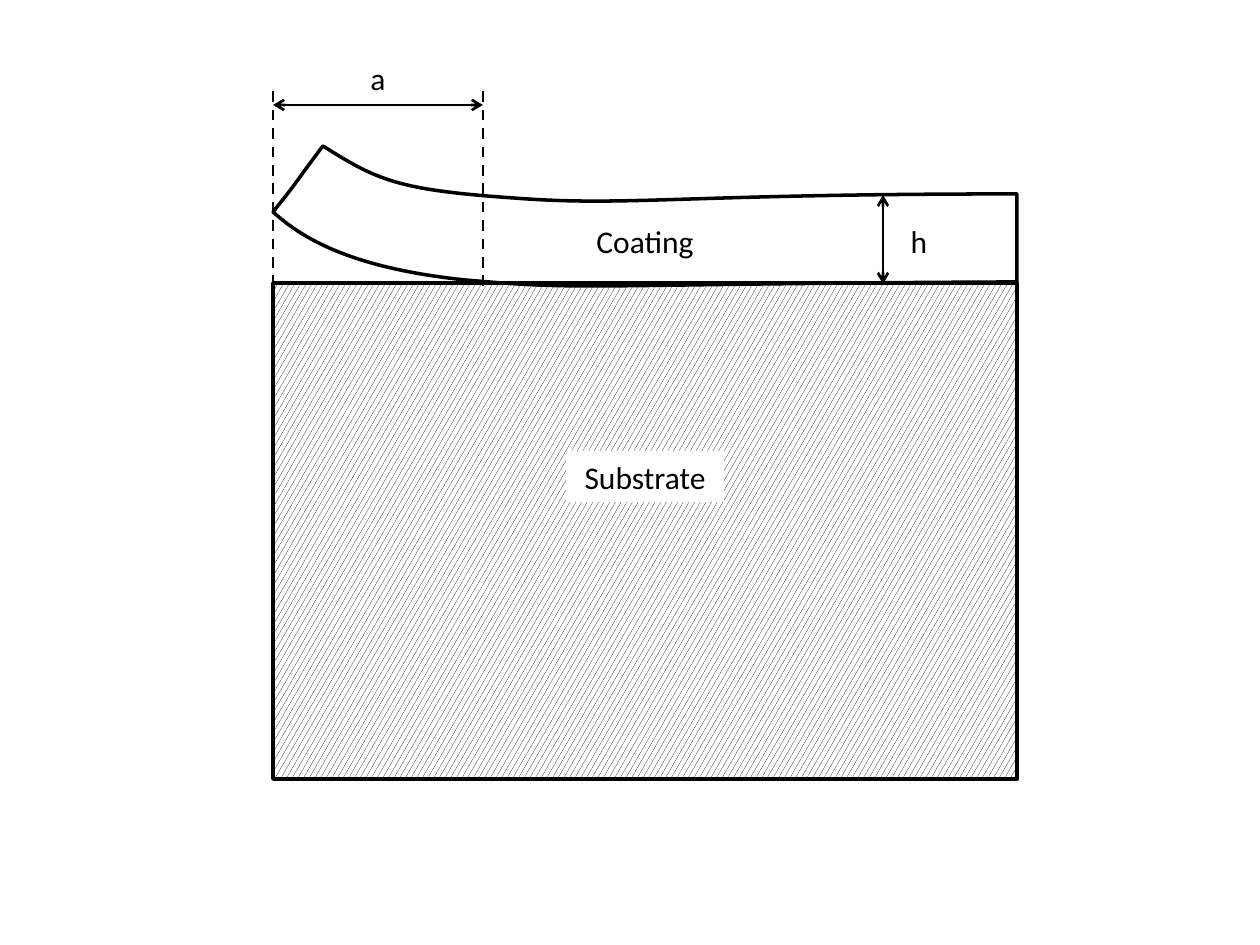
from lxml import etree
from pptx import Presentation
from pptx.dml.color import RGBColor
from pptx.enum.dml import MSO_LINE, MSO_PATTERN
from pptx.enum.shapes import MSO_CONNECTOR, MSO_SHAPE
from pptx.enum.text import MSO_ANCHOR, MSO_AUTO_SIZE, PP_ALIGN
from pptx.oxml.ns import qn
from pptx.util import Pt

RECT = MSO_SHAPE.RECTANGLE
STRAIGHT = MSO_CONNECTOR.STRAIGHT
DASH = MSO_LINE.DASH
CONFETTI = MSO_PATTERN.LARGE_CONFETTI
MIDDLE = MSO_ANCHOR.MIDDLE
GROW = MSO_AUTO_SIZE.SHAPE_TO_FIT_TEXT
CENTER = PP_ALIGN.CENTER

SCALE = 914400 / 126
COLORS = {"ink": "000000", "paper": "FFFFFF"}
FONT = "Calibri"
LEFT, RIGHT, CRACK_TIP = 273, 1017, 483
COATING_TOP, COATING_HEIGHT = 146, 140
COATING_START = (RIGHT, 282)
COATING_CURVES = [
    [(1017, 231), (1017, 258), (1017, 194)],
    [(678, 194), (629, 207), (513, 198)],
    [(397, 190), (377, 180), (323, COATING_TOP)],
    [(290, 190), (299, 180), (LEFT, 212)],
    [(297, 233), (341, 267), (465, 280)],
    [(590, 291), (576, 284), COATING_START],
]


def px(n):
    """Turn pixels into EMU."""
    return round(n * SCALE)


def color(name):
    """Look up a named colour."""
    return RGBColor.from_string(COLORS[name])


def set_line(line, width):
    """Give a line the ink colour and a width in points."""
    line.color.rgb = color("ink")
    line.width = Pt(width)


def add_substrate(s, x, y, w, h):
    """Add the patterned substrate block."""
    sp = s.shapes.add_shape(RECT, px(x), px(y), px(w), px(h))
    sp.shadow.inherit = False
    sp.fill.patterned()
    sp.fill.pattern = CONFETTI
    sp.fill.fore_color.rgb = color("ink")
    sp.fill.back_color.rgb = color("paper")
    set_line(sp.line, 2)


def add_coating(s, start, curves):
    """Add the peeling coating as a closed outline of cubic curves."""
    builder = s.shapes.build_freeform(*start, scale=SCALE)
    builder.add_line_segments([curve[-1] for curve in curves], close=True)
    sp = builder.convert_to_shape()
    sp.shadow.inherit = False
    sp.fill.background()
    set_line(sp.line, 2)
    outline = next(sp._element.iter(qn("a:path")))
    for segment, curve in zip(outline.findall(qn("a:lnTo")), curves):
        cubic = etree.Element(qn("a:cubicBezTo"))
        for x, y in curve:
            etree.SubElement(cubic, qn("a:pt"),
                             x=str(x - LEFT), y=str(y - COATING_TOP))
        outline.replace(segment, cubic)
    outline.set("h", str(COATING_HEIGHT))
    sp.height = px(COATING_HEIGHT)


def add_label(s, text, x, y, boxed=False):
    """Add a centred label, on a white box if wanted."""
    box = px(x), px(y), px(158), px(51)
    if boxed:
        sp = s.shapes.add_shape(RECT, *box)
        sp.shadow.inherit = False
        sp.fill.solid()
        sp.fill.fore_color.rgb = color("paper")
        sp.line.fill.background()
    else:
        sp = s.shapes.add_textbox(*box)
    tf = sp.text_frame
    tf.word_wrap = True
    tf.auto_size = GROW
    tf.vertical_anchor = MIDDLE
    p = tf.paragraphs[0]
    p.alignment = CENTER
    r = p.add_run()
    r.text = text
    r.font.name = FONT
    r.font.size = Pt(18)
    r.font.color.rgb = color("ink")


def add_connector(s, x1, y1, x2, y2):
    """Add a thin straight line without a shadow."""
    cxn = s.shapes.add_connector(STRAIGHT, px(x1), px(y1), px(x2), px(y2))
    set_line(cxn.line, 1.5)
    etree.SubElement(cxn._element.spPr, qn("a:effectLst"))
    return cxn


def add_dimension(s, x1, y1, x2, y2):
    """Add a dimension line with an arrowhead at each end."""
    ln = add_connector(s, x1, y1, x2, y2).line._get_or_add_ln()
    for end in ("a:headEnd", "a:tailEnd"):
        etree.SubElement(ln, qn(end), type="arrow")


def add_guide(s, x):
    """Add a dashed vertical guide."""
    add_connector(s, x, 286, x, 84).line.dash_style = DASH


def main():
    """Build the slide and save it."""
    prs = Presentation()
    prs.slide_width, prs.slide_height = px(1260), px(945)
    s = prs.slides.add_slide(prs.slide_layouts[6])
    add_substrate(s, LEFT, 283, RIGHT - LEFT, 496)
    add_coating(s, COATING_START, COATING_CURVES)
    add_label(s, "Substrate", 566, 451, boxed=True)
    add_label(s, "Coating", 566, 215, boxed=True)
    add_dimension(s, LEFT, 105, CRACK_TIP, 105)
    for x in (LEFT, CRACK_TIP):
        add_guide(s, x)
    add_label(s, "a", 299, 52)
    add_label(s, "h", 840, 215)
    add_dimension(s, 883, 195, 883, 284)
    prs.save("out.pptx")


if __name__ == "__main__":
    main()
